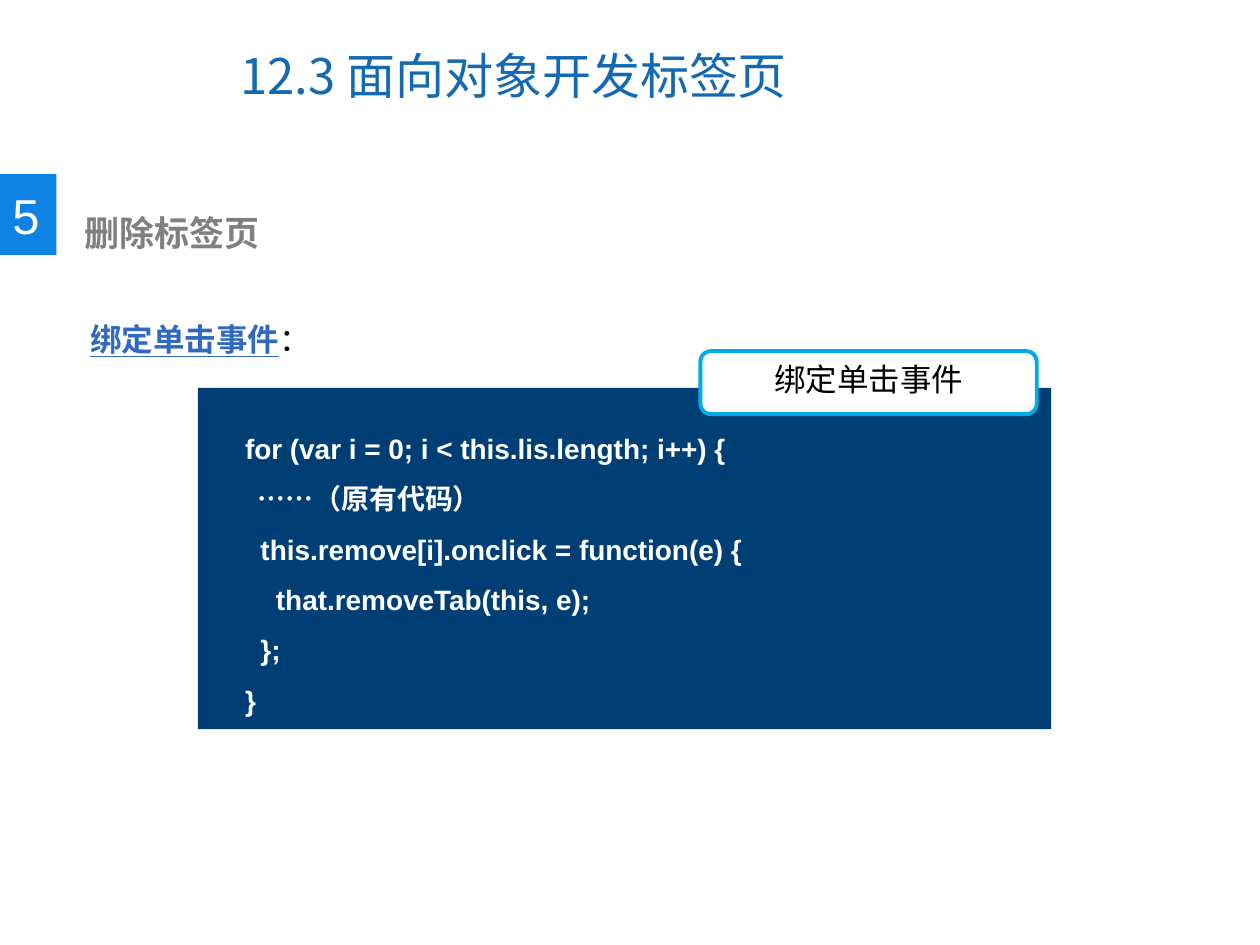
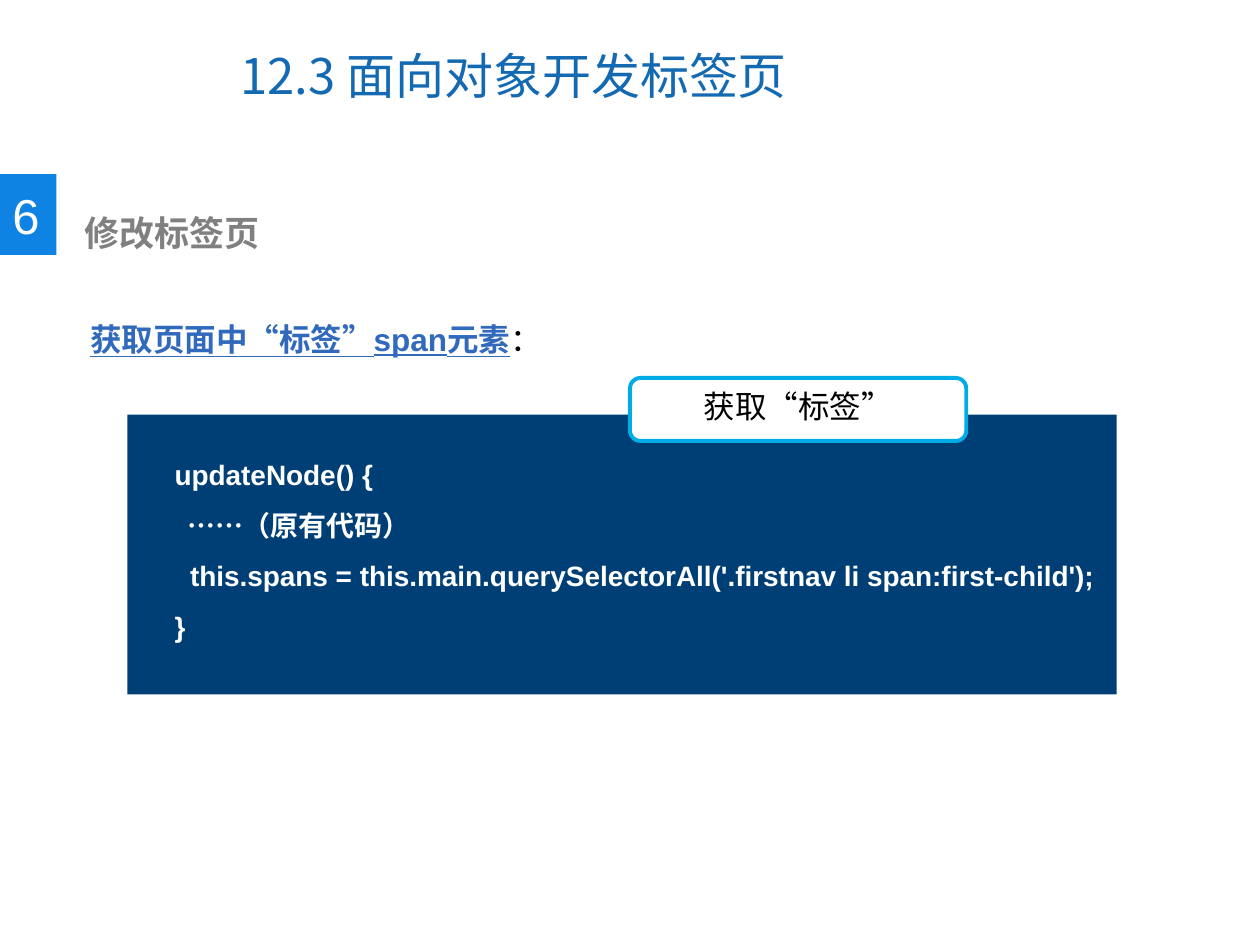
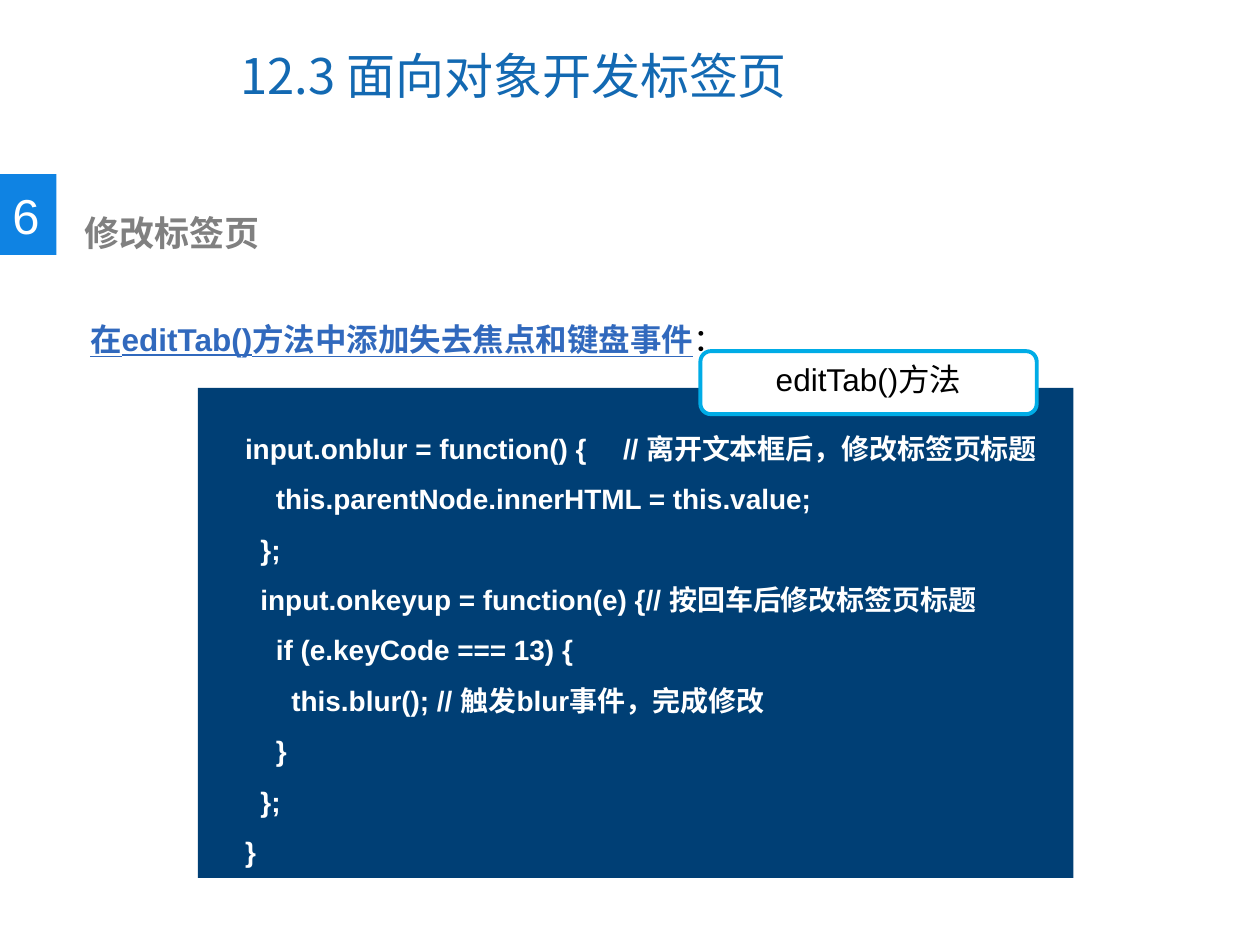
from dataclasses import dataclass

from lxml import etree
from pptx import Presentation
from pptx import util as u
from pptx.dml.color import RGBColor
from pptx.enum import shapes, text
from pptx.oxml import ns


@dataclass(frozen=True)
class Theme:
    title: str = "1369B2"
    marker: str = "0F83E3"
    heading: str = "808080"
    topic: str = "3169BD"
    panel: str = "003F75"
    outline: str = "00ACE6"
    dark: str = "000000"
    light: str = "FFFFFF"
    latin: str = "Arial"
    cjk: str = "Noto Sans CJK SC"
    title_size: int = 28
    heading_size: int = 20
    body_size: int = 18
    code_size: int = 16
    topic_spacing: float = 44
    code_spacing: float = 28.8


class SlideBuilder:
    def __init__(self, deck, theme):
        self.deck = deck
        self.theme = theme
        self.page = None

    def new_page(self):
        self.page = self.deck.slides.add_slide(self.deck.slide_layouts[6])

    def style(self, span, size, color, bold=False, underline=False, font=None):
        span.font.size = u.Pt(size)
        span.font.bold = bold
        span.font.underline = underline
        span.font.color.rgb = RGBColor.from_string(color)
        span.font.name = font or self.theme.latin
        east_asian = etree.SubElement(span.font._element, ns.qn("a:ea"))
        east_asian.set("typeface", self.theme.cjk)

    def text(self, content, left, top, width, height, size, color,
             spacing=None, wrap=True, middle=False, **style):
        box = self.page.shapes.add_textbox(u.Cm(left), u.Cm(top), u.Cm(width), u.Cm(height))
        frame = box.text_frame
        frame.word_wrap = wrap
        if middle:
            frame.vertical_anchor = text.MSO_ANCHOR.MIDDLE
        frame.text = content
        for para in frame.paragraphs:
            if spacing:
                para.line_spacing = u.Pt(spacing)
            for span in para.runs:
                self.style(span, size, color, **style)
        return box

    def block(self, kind, left, top, width, height, fill, outline=None):
        shape = self.page.shapes.add_shape(
            kind, u.Cm(left), u.Cm(top), u.Cm(width), u.Cm(height))
        shape.shadow.inherit = False
        shape.fill.solid()
        shape.fill.fore_color.rgb = RGBColor.from_string(fill)
        if outline:
            shape.line.color.rgb = RGBColor.from_string(outline)
            shape.line.width = u.Pt(2.25)
        else:
            shape.line.fill.background()
        return shape

    def title(self, content):
        self.text(content, 4.6, 0.43, 13.11, 2.16, self.theme.title_size,
                  self.theme.title, middle=True, font=self.theme.cjk)

    def section(self, number, heading):
        theme = self.theme
        self.block(shapes.MSO_SHAPE.RECTANGLE, 0, 3.51, 1.14, 1.63, theme.marker)
        self.text(number, 0, 3.61, 1.07, 1.45, theme.title_size, theme.light, wrap=False)
        self.text(heading, 1.45, 4.14, 12.8, 1.12, theme.heading_size,
                  theme.heading, bold=True, font=theme.cjk)

    def topic(self, content):
        theme = self.theme
        box = self.text(content, 1.57, 5.54, 21.97, 1.55, theme.body_size, theme.topic,
                        spacing=theme.topic_spacing, bold=True, underline=True)
        colon = box.text_frame.paragraphs[0].add_run()
        colon.text = "："
        self.style(colon, theme.body_size, theme.dark)

    def label(self, content, left, top):
        theme = self.theme
        shape = self.block(shapes.MSO_SHAPE.ROUNDED_RECTANGLE, left, top, 6.78, 1.27,
                           theme.light, theme.outline)
        frame = shape.text_frame
        frame.vertical_anchor = text.MSO_ANCHOR.TOP
        frame.text = content
        para = frame.paragraphs[0]
        para.alignment = text.PP_ALIGN.CENTER
        self.style(para.runs[0], theme.body_size, theme.dark)

    def code(self, label, lines, left, top, width, height):
        theme = self.theme
        self.block(shapes.MSO_SHAPE.RECTANGLE, left, top, width, height, theme.panel)
        self.label(label, left + 10.13, top - 0.74)
        self.text("\n".join(lines), left + 0.7, top + 0.41, width - 0.7, height - 0.41,
                  theme.code_size, theme.light, spacing=theme.code_spacing, bold=True)


LESSONS = [
    {
        "section": ("5", "删除标签页"),
        "topic": "绑定单击事件",
        "label": "绑定单击事件",
        "panel": (3.99, 7.82, 17.2, 6.88),
        "lines": [
            "for (var i = 0; i < this.lis.length; i++) {",
            "  ……（原有代码）",
            "  this.remove[i].onclick = function(e) {",
            "    that.removeTab(this, e);",
            "  };",
            "}",
        ],
    },
    {
        "section": ("6", "修改标签页"),
        "topic": "获取页面中“标签”span元素",
        "label": "获取“标签”",
        "panel": (2.57, 8.36, 19.94, 5.64),
        "lines": [
            "updateNode() {",
            "  ……（原有代码）",
            "  this.spans = this.main.querySelectorAll('.firstnav li span:first-child');",
            "}",
        ],
    },
    {
        "section": ("6", "修改标签页"),
        "topic": "在editTab()方法中添加失去焦点和键盘事件",
        "label": "editTab()方法",
        "panel": (3.99, 7.82, 17.65, 9.88),
        "lines": [
            "input.onblur = function() {\t// 离开文本框后，修改标签页标题",
            "    this.parentNode.innerHTML = this.value;",
            "  };",
            "  input.onkeyup = function(e) {// 按回车后修改标签页标题",
            "    if (e.keyCode === 13) {",
            "      this.blur(); // 触发blur事件，完成修改",
            "    }",
            "  };",
            "}",
        ],
    },
]


def main():
    deck = Presentation()
    deck.slide_width = u.Cm(25.4)
    deck.slide_height = u.Cm(19.05)
    builder = SlideBuilder(deck, Theme())
    for lesson in LESSONS:
        builder.new_page()
        builder.title("12.3 面向对象开发标签页")
        builder.section(*lesson["section"])
        builder.topic(lesson["topic"])
        builder.code(lesson["label"], lesson["lines"], *lesson["panel"])
    deck.save("out.pptx")


if __name__ == "__main__":
    main()
